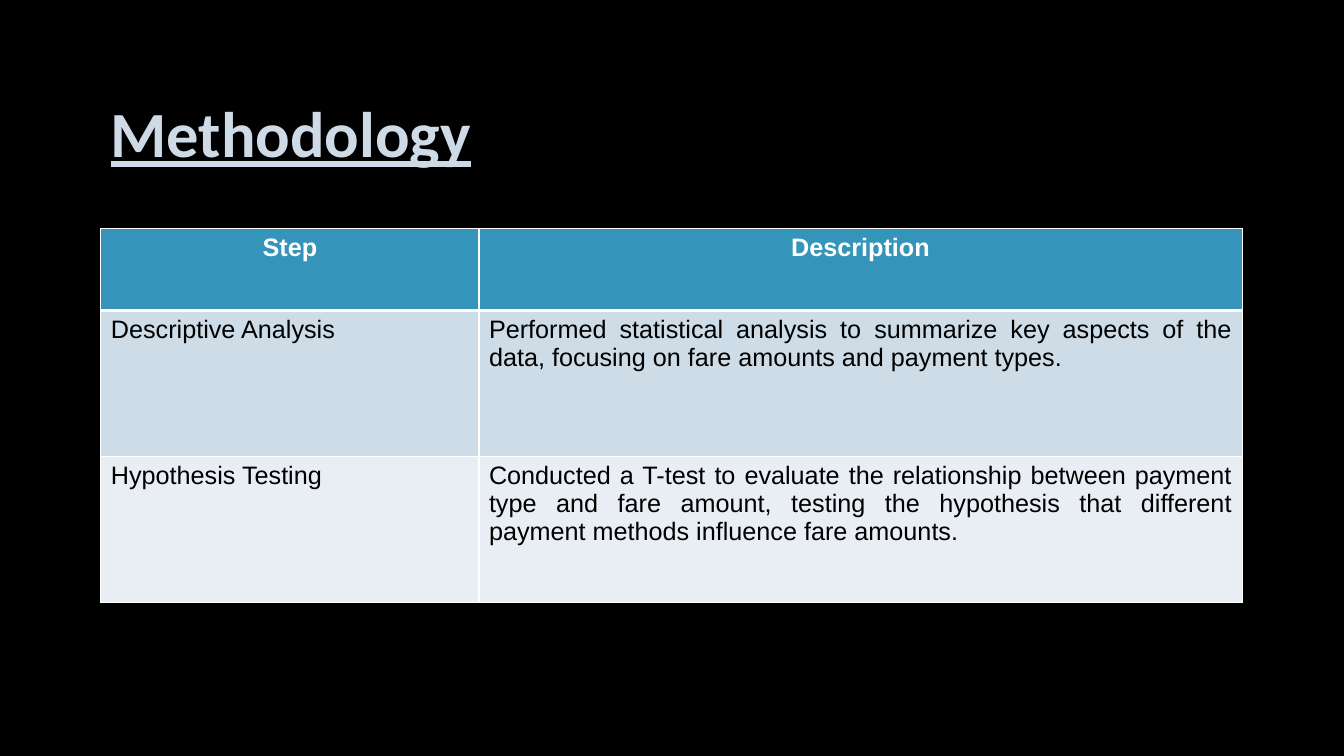
from dataclasses import dataclass

from pptx import Presentation
from pptx import util as u
from pptx.dml.color import RGBColor
from pptx.enum import text
from pptx.oxml import parse_xml
from pptx.oxml.ns import nsdecls


@dataclass(frozen=True)
class Theme:
    background: str = "000000"
    title_color: str = "CEDBE6"
    header_fill: str = "3494BA"
    header_text: str = "FFFFFF"
    body_text: str = "000000"
    band_fills: tuple = ("CEDCE7", "E8EEF3")
    border: str = "FFFFFF"
    thin: float = 1
    thick: float = 3
    title_font: str = "Calibri"
    table_font: str = "Arial"
    title_size: int = 46
    table_size: int = 18


class SlideBuilder:
    def __init__(self, page, theme):
        self.page = page
        self.theme = theme
        self.fill(page.background, theme.background)

    def fill(self, item, color):
        item.fill.solid()
        item.fill.fore_color.rgb = RGBColor.from_string(color)

    def style(self, para, font, size, color, bold):
        for span in para.runs:
            span.font.name = font
            span.font.size = u.Pt(size)
            span.font.bold = bold
            span.font.color.rgb = RGBColor.from_string(color)

    def title(self, words, left, top, width, height):
        theme = self.theme
        box = self.page.shapes.add_textbox(*map(u.Inches, (left, top, width, height)))
        frame = box.text_frame
        frame.word_wrap = True
        frame.vertical_anchor = text.MSO_ANCHOR.MIDDLE
        para = frame.paragraphs[0]
        para.text = words
        para.line_spacing = 0.9
        self.style(para, theme.title_font, theme.title_size, theme.title_color, True)
        para.runs[0].font.underline = True

    def borders(self, cell, top, bottom):
        thin = self.theme.thin
        sides = {"L": thin, "R": thin, "T": top, "B": bottom}
        properties = cell._tc.get_or_add_tcPr()
        for index, (side, points) in enumerate(sides.items()):
            properties.insert(index, parse_xml(
                f'<a:ln{side} {nsdecls("a")} w="{u.Pt(points)}"><a:solidFill>'
                f'<a:srgbClr val="{self.theme.border}"/></a:solidFill></a:ln{side}>'))

    def cell(self, cell, words, row):
        """Header is row 0; the thick rule lies between it and row 1."""
        theme = self.theme
        header = row == 0
        bands = theme.band_fills
        self.fill(cell, theme.header_fill if header else bands[(row - 1) % len(bands)])
        self.borders(cell, theme.thick if row == 1 else theme.thin,
                     theme.thick if header else theme.thin)
        para = cell.text_frame.paragraphs[0]
        para.text = words
        para.alignment = text.PP_ALIGN.CENTER if header else text.PP_ALIGN.JUSTIFY
        self.style(para, theme.table_font, theme.table_size,
                   theme.header_text if header else theme.body_text, header)

    def table(self, rows, left, top, widths, heights):
        frame = self.page.shapes.add_table(
            len(rows), len(widths),
            *map(u.Inches, (left, top, sum(widths), sum(heights))))
        table = frame.table
        for column, width in zip(table.columns, widths):
            column.width = u.Inches(width)
        for row, (words, height) in enumerate(zip(rows, heights)):
            table.rows[row].height = u.Inches(height)
            for column, phrase in enumerate(words):
                self.cell(table.cell(row, column), phrase, row)


STEPS = [
    ("Step", "Description"),
    ("Descriptive Analysis",
     "Performed statistical analysis to summarize key aspects of the data, "
     "focusing on fare amounts and payment types."),
    ("Hypothesis Testing",
     "Conducted a T-test to evaluate the relationship between payment type and "
     "fare amount, testing the hypothesis that different payment methods "
     "influence fare amounts."),
]


def main():
    deck = Presentation()
    deck.slide_width, deck.slide_height = u.Inches(13.33), u.Inches(7.5)
    builder = SlideBuilder(deck.slides.add_slide(deck.slide_layouts[6]), Theme())
    builder.title("Methodology", 1, 0.67, 11.32, 1.38)
    builder.table(STEPS, 1, 2.27, widths=(3.75, 7.57), heights=(0.81, 1.45, 1.45))
    deck.save("out.pptx")


if __name__ == "__main__":
    main()
